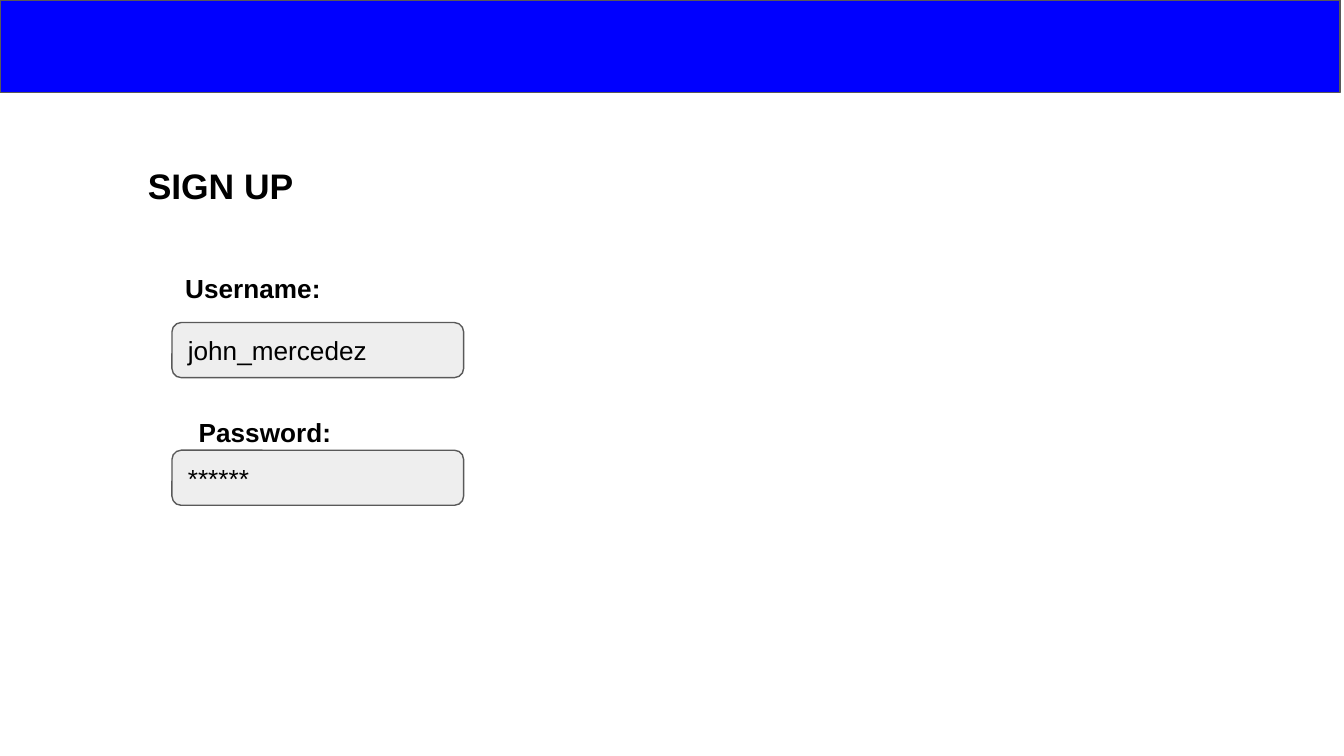
"""Build a sign-up form slide with a header bar and two labelled fields."""
from pptx import Presentation
from pptx.dml.color import RGBColor
from pptx.enum.shapes import MSO_SHAPE
from pptx.enum.text import MSO_ANCHOR, MSO_AUTO_SIZE, PP_ALIGN
from pptx.util import Pt

BAR = MSO_SHAPE.RECTANGLE
FIELD = MSO_SHAPE.ROUNDED_RECTANGLE
TOP, MIDDLE = MSO_ANCHOR.TOP, MSO_ANCHOR.MIDDLE
LEFT = PP_ALIGN.LEFT
NO_FIT = MSO_AUTO_SIZE.NONE
TITLE_ONLY = 5

COLORS = {"header": "0000FF", "field": "EEEEEE", "border": "595959", "text": "000000"}
FONT = "Arial"
INSET = 7.2
FIELD_LEFT = 92.16


def color(name):
    return RGBColor.from_string(COLORS[name])


def write(shape, text, size, bold=False, anchor=TOP):
    frame = shape.text_frame
    frame.word_wrap = True
    frame.auto_size = NO_FIT
    frame.vertical_anchor = anchor
    frame.margin_left = frame.margin_right = Pt(INSET)
    frame.margin_top = frame.margin_bottom = Pt(INSET)
    line = frame.paragraphs[0]
    line.text = text
    line.alignment = LEFT
    line.font.name = FONT
    line.font.size = Pt(size)
    line.font.bold = bold
    line.font.color.rgb = color("text")


def add_panel(slide, kind, left, top, width, height, fill):
    panel = slide.shapes.add_shape(kind, Pt(left), Pt(top), Pt(width), Pt(height))
    panel.shadow.inherit = False
    panel.fill.solid()
    panel.fill.fore_color.rgb = color(fill)
    panel.line.color.rgb = color("border")
    panel.line.width = Pt(0.75)
    return panel


def add_title(slide, text):
    title = slide.shapes.title
    title.left, title.top = Pt(72), Pt(80.64)
    title.width, title.height = Pt(186.5), Pt(37.44)
    write(title, text, 19, bold=True)


def add_field(slide, value, top):
    field = add_panel(slide, FIELD, FIELD_LEFT, top, 156.24, 29.52, "field")
    write(field, value, 14, anchor=MIDDLE)


def add_label(slide, text, left, top):
    label = slide.shapes.add_textbox(Pt(left), Pt(top), Pt(111.6), Pt(31.68))
    write(label, text, 14, bold=True)


def main():
    deck = Presentation()
    deck.slide_width, deck.slide_height = Pt(720), Pt(405)
    slide = deck.slides.add_slide(deck.slide_layouts[TITLE_ONLY])

    add_panel(slide, BAR, 0, 0, 717.84, 49.68, "header")
    add_title(slide, "SIGN UP")
    add_field(slide, "john_mercedez", 172.8)
    add_field(slide, "******", 241.2)
    add_label(slide, "Username:", FIELD_LEFT, 138.96)
    add_label(slide, "Password:", FIELD_LEFT + INSET, 216)

    deck.save("out.pptx")


if __name__ == "__main__":
    main()
